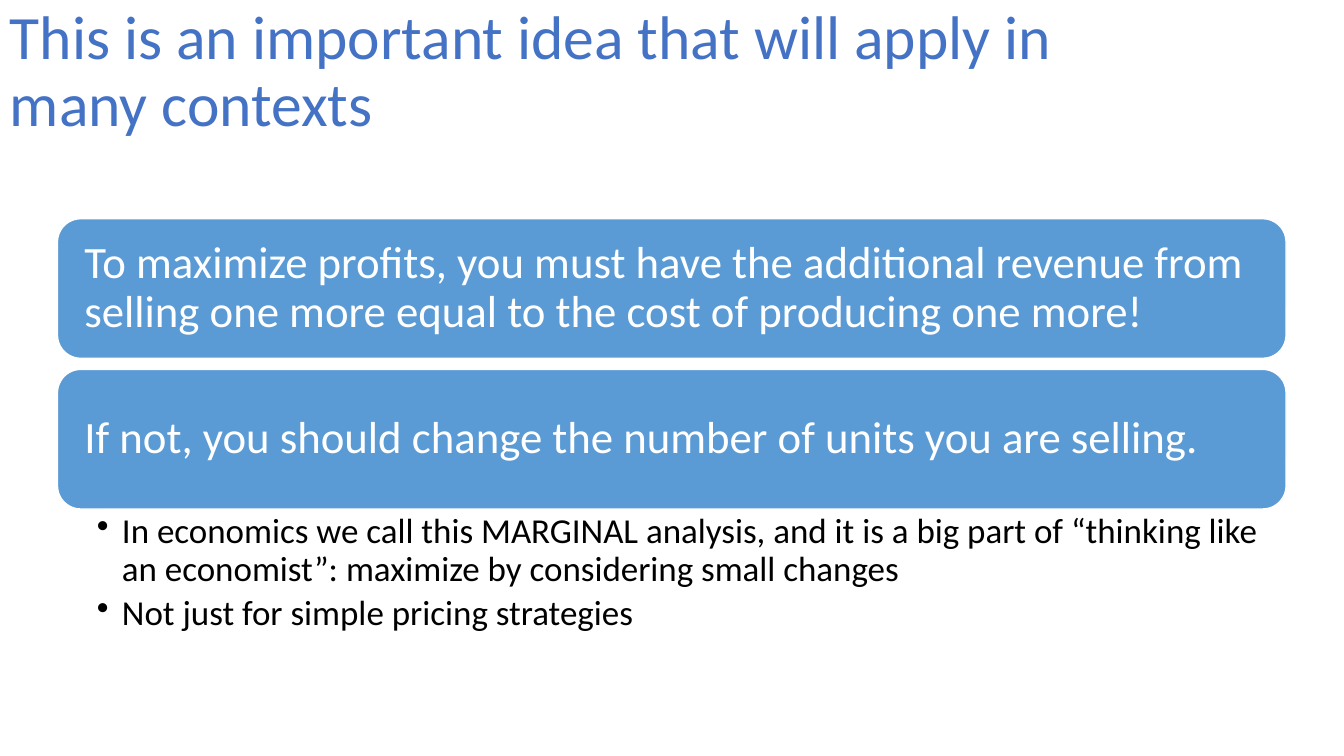
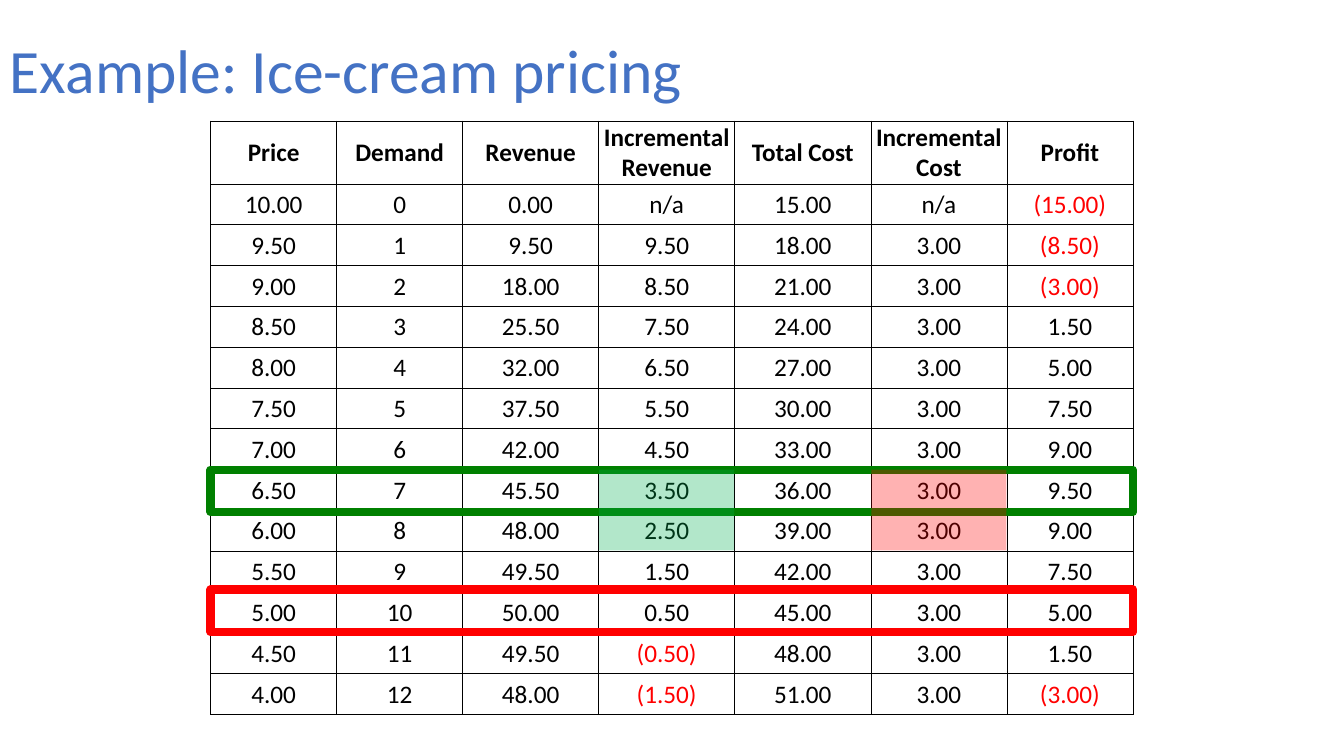
from lxml import etree
from pptx import Presentation
from pptx.dml.color import RGBColor
from pptx.enum.shapes import MSO_SHAPE
from pptx.enum.text import MSO_ANCHOR, PP_ALIGN
from pptx.oxml.ns import qn
from pptx.util import Emu, Pt

PX = 4572
FONT = "Calibri"
TITLE_BLUE = RGBColor(0x44, 0x72, 0xC4)
PANEL_BLUE = RGBColor(0x5B, 0x9B, 0xD5)
WHITE = RGBColor(0xFF, 0xFF, 0xFF)
BLACK = RGBColor(0, 0, 0)
RED = RGBColor(0xFF, 0, 0)
DARK_GREEN = RGBColor(0, 0x80, 0)
GREEN = RGBColor(0, 0xB0, 0x50)

TITLE_BOX = (0, 0, 2300, 290)
MESSAGE_BOX = (114, 434, 2438, 844)
PANELS = [
    "To maximize profits, you must have the additional revenue from selling one more "
    "equal to the cost of producing one more!",
    "If not, you should change the number of units you are selling.",
]
BULLETS = [
    "In economics we call this MARGINAL analysis, and it is a big part of “thinking like "
    "an economist”: maximize by considering small changes",
    "Not just for simple pricing strategies",
]

TABLE_ORIGIN = (418, 240)
HEADERS = ["Price", "Demand", "Revenue", "Incremental Revenue", "Total Cost",
           "Incremental Cost", "Profit"]
COL_WIDTHS = [250, 250, 270, 270, 270, 270, 250]
HEADER_HEIGHT, ROW_HEIGHT = 125, 81
MAX_DEMAND = 12
FIXED_COST, UNIT_COST = 15, 3


def px(n):
    return Emu(n * PX)


def style(p, size, color, bold=False):
    p.font.name = FONT
    p.font.size = Pt(size)
    p.font.color.rgb = color
    p.font.bold = bold


def set_margins(target, left, top, right, bottom):
    target.margin_left, target.margin_top = px(left), px(top)
    target.margin_right, target.margin_bottom = px(right), px(bottom)


def add_text(slide, box, paragraphs, size, color, anchor=MSO_ANCHOR.TOP):
    tf = slide.shapes.add_textbox(*map(px, box)).text_frame
    fill_text(tf, paragraphs, size, color, anchor)
    return tf


def fill_text(tf, paragraphs, size, color, anchor):
    tf.word_wrap = True
    tf.vertical_anchor = anchor
    tf.text = "\n".join(paragraphs)
    for p in tf.paragraphs:
        p.alignment = PP_ALIGN.LEFT
        p.line_spacing = 0.9
        style(p, size, color)


def add_box(slide, kind, box, fill=None, line=None, weight=1, alpha=None):
    sp = slide.shapes.add_shape(kind, *map(px, box))
    sp.shadow.inherit = False
    if fill is None:
        sp.fill.background()
    else:
        sp.fill.solid()
        sp.fill.fore_color.rgb = fill
    if alpha is not None:
        clr = sp.fill._xPr.find(qn("a:solidFill"))[0]
        etree.SubElement(clr, qn("a:alpha"), val=str(alpha * 1000))
    if line is None:
        sp.line.fill.background()
    else:
        sp.line.color.rgb = line
        sp.line.width = Pt(weight)
    return sp


def new_slide(prs, title):
    slide = prs.slides.add_slide(prs.slide_layouts[6])
    add_text(slide, TITLE_BOX, [title], 44, TITLE_BLUE, MSO_ANCHOR.MIDDLE)
    return slide


def add_panels(slide, box):
    x, y, w, h = box
    panel_h, pitch = 277, 299
    for i, text in enumerate(PANELS):
        sp = add_box(slide, MSO_SHAPE.ROUNDED_RECTANGLE,
                     (x, y + i * pitch, w, panel_h), PANEL_BLUE, WHITE)
        set_margins(sp.text_frame, 40, 40, 40, 40)
        fill_text(sp.text_frame, [text], 32, WHITE, MSO_ANCHOR.MIDDLE)
    top = pitch + panel_h
    add_bullets(slide, (x, y + top, w, h - top))


def add_bullets(slide, box):
    tf = add_text(slide, box, BULLETS, 25, BLACK)
    set_margins(tf, 78, 8, 50, 8)
    for p in tf.paragraphs:
        p.space_after = Pt(5)
        pPr = p._p.get_or_add_pPr()
        pPr.set("marL", str(px(50)))
        pPr.set("indent", str(px(-50)))
        bullet = etree.Element(qn("a:buChar"), char="•")
        pPr.find(qn("a:spcAft")).addnext(bullet)


def money(value):
    return f"({-value:.2f})" if value < 0 else f"{value:.2f}"


def pricing_rows():
    previous = None
    for demand in range(MAX_DEMAND + 1):
        price = 10 - demand / 2
        revenue = price * demand
        cost = FIXED_COST + UNIT_COST * demand
        first = previous is None
        yield [money(price), str(demand), money(revenue),
               "n/a" if first else money(revenue - previous), money(cost),
               "n/a" if first else money(UNIT_COST), money(revenue - cost)]
        previous = revenue


def add_borders(cell):
    tcPr = cell._tc.get_or_add_tcPr()
    for i, side in enumerate(("a:lnL", "a:lnR", "a:lnT", "a:lnB")):
        ln = etree.Element(qn(side), w=str(Pt(0.5)))
        solid = etree.SubElement(ln, qn("a:solidFill"))
        etree.SubElement(solid, qn("a:srgbClr"), val=str(BLACK))
        tcPr.insert(i, ln)


def fill_cell(cell, text, bold):
    cell.text = text
    cell.vertical_anchor = MSO_ANCHOR.MIDDLE
    set_margins(cell, 2, 2, 2, 0)
    p = cell.text_frame.paragraphs[0]
    p.alignment = PP_ALIGN.CENTER
    style(p, 18, RED if text.startswith("(") else BLACK, bold)
    cell.fill.background()
    add_borders(cell)


def add_pricing_table(slide, origin):
    x, y = origin
    rows = [HEADERS, *pricing_rows()]
    heights = [HEADER_HEIGHT] + [ROW_HEIGHT] * (len(rows) - 1)
    table = slide.shapes.add_table(
        len(rows), len(HEADERS), px(x), px(y), px(sum(COL_WIDTHS)), px(sum(heights))).table
    table.first_row = table.horz_banding = False
    for col, width in zip(table.columns, COL_WIDTHS):
        col.width = px(width)
    for r, (values, height) in enumerate(zip(rows, heights)):
        table.rows[r].height = px(height)
        for c, text in enumerate(values):
            fill_cell(table.cell(r, c), text, bold=r == 0)


def add_highlights(slide, origin):
    x, y = origin

    def row_top(demand):
        return y + HEADER_HEIGHT + demand * ROW_HEIGHT

    for demand, lift, color in ((7, 0, DARK_GREEN), (10, 5, RED)):
        add_box(slide, MSO_SHAPE.RECTANGLE,
                (x, row_top(demand) - lift, sum(COL_WIDTHS), 84), line=color, weight=6)
    for col, color in ((3, GREEN), (5, RED)):
        add_box(slide, MSO_SHAPE.RECTANGLE,
                (x + sum(COL_WIDTHS[:col]) + 1, row_top(7), COL_WIDTHS[col] - 2, 160),
                fill=color, alpha=30)


def main():
    prs = Presentation()
    prs.slide_width, prs.slide_height = px(2667), px(1500)

    slide = new_slide(prs, "This is an important idea that will apply in many contexts")
    add_panels(slide, MESSAGE_BOX)

    slide = new_slide(prs, "Example: Ice-cream pricing")
    add_pricing_table(slide, TABLE_ORIGIN)
    add_highlights(slide, TABLE_ORIGIN)

    prs.save("out.pptx")


if __name__ == "__main__":
    main()
